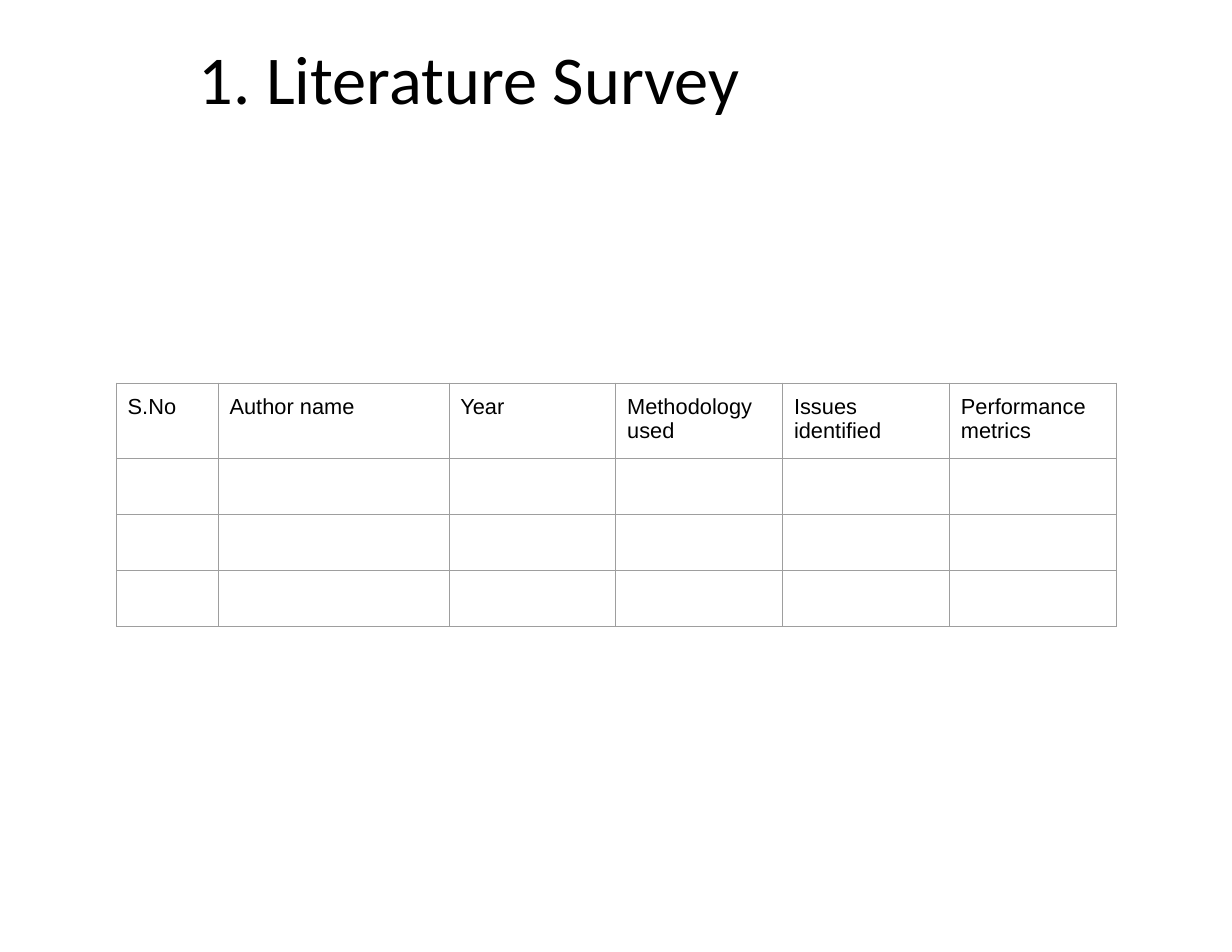
from lxml.etree import SubElement as Sub
from pptx import Presentation
from pptx.dml.color import RGBColor
from pptx.enum.text import PP_ALIGN as Align
from pptx.oxml.ns import qn
from pptx.util import Inches, Pt

HEADS = ["S.No", "Author name", "Year", "Methodology used",
         "Issues identified", "Performance metrics"]
WIDTHS = [0.91, 2.06] + [1.49] * 4
HEIGHTS = [0.67] + [0.5] * 3


def color(code):
    return RGBColor.from_string(code)


class Deck:
    ink, rule = "000000", "9E9E9E"

    def __init__(self, wide, high):
        self.prs = Presentation()
        self.prs.slide_width, self.prs.slide_height = Inches(wide), Inches(high)
        self.slide = self.prs.slides.add_slide(self.prs.slide_layouts[6])

    def style(self, para, face, size):
        font = para.font
        font.name, font.size = face, Pt(size)
        font.color.rgb = color(self.ink)

    def title(self, text, x, y, w, h):
        box = self.slide.shapes.add_textbox(*map(Inches, (x, y, w, h)))
        frame = box.text_frame
        frame.word_wrap = True
        frame.margin_left = frame.margin_right = 0
        frame.margin_top = frame.margin_bottom = 0
        para = frame.paragraphs[0]
        para.text, para.alignment = text, Align.CENTER
        self.style(para, "Calibri", 44)

    def border(self, cell):
        props = cell._tc.get_or_add_tcPr()
        for side in ("lnL", "lnR", "lnT", "lnB"):
            line = Sub(props, qn(f"a:{side}"), w=str(Pt(0.75)))
            fill = Sub(line, qn("a:solidFill"))
            Sub(fill, qn("a:srgbClr"), val=self.rule)

    def table(self, heads, widths, heights, x, y):
        frame = self.slide.shapes.add_table(
            len(heights), len(widths), Inches(x), Inches(y),
            Inches(sum(widths)), Inches(sum(heights)))
        grid = frame.table
        grid.first_row = grid.horz_banding = False
        for col, wide in zip(grid.columns, widths):
            col.width = Inches(wide)
        for row, high in zip(grid.rows, heights):
            row.height = Inches(high)
        for cell in grid.iter_cells():
            self.border(cell)
            cell.fill.background()
        # Only the header row holds text
        for cell, head in zip(grid.rows[0].cells, heads):
            cell.margin_left = cell.margin_right = Inches(0.1)
            cell.margin_top = cell.margin_bottom = Inches(0.1)
            cell.text = head
            self.style(cell.text_frame.paragraphs[0], "Arial", 14)


def main():
    deck = Deck(11, 8.5)
    # Heading
    deck.title("1. Literature Survey ", 1.44, 0.32, 5.64, 0.74)
    # Survey table
    deck.table(HEADS, WIDTHS, HEIGHTS, 1.04, 3.42)
    deck.prs.save("out.pptx")


if __name__ == "__main__":
    main()
